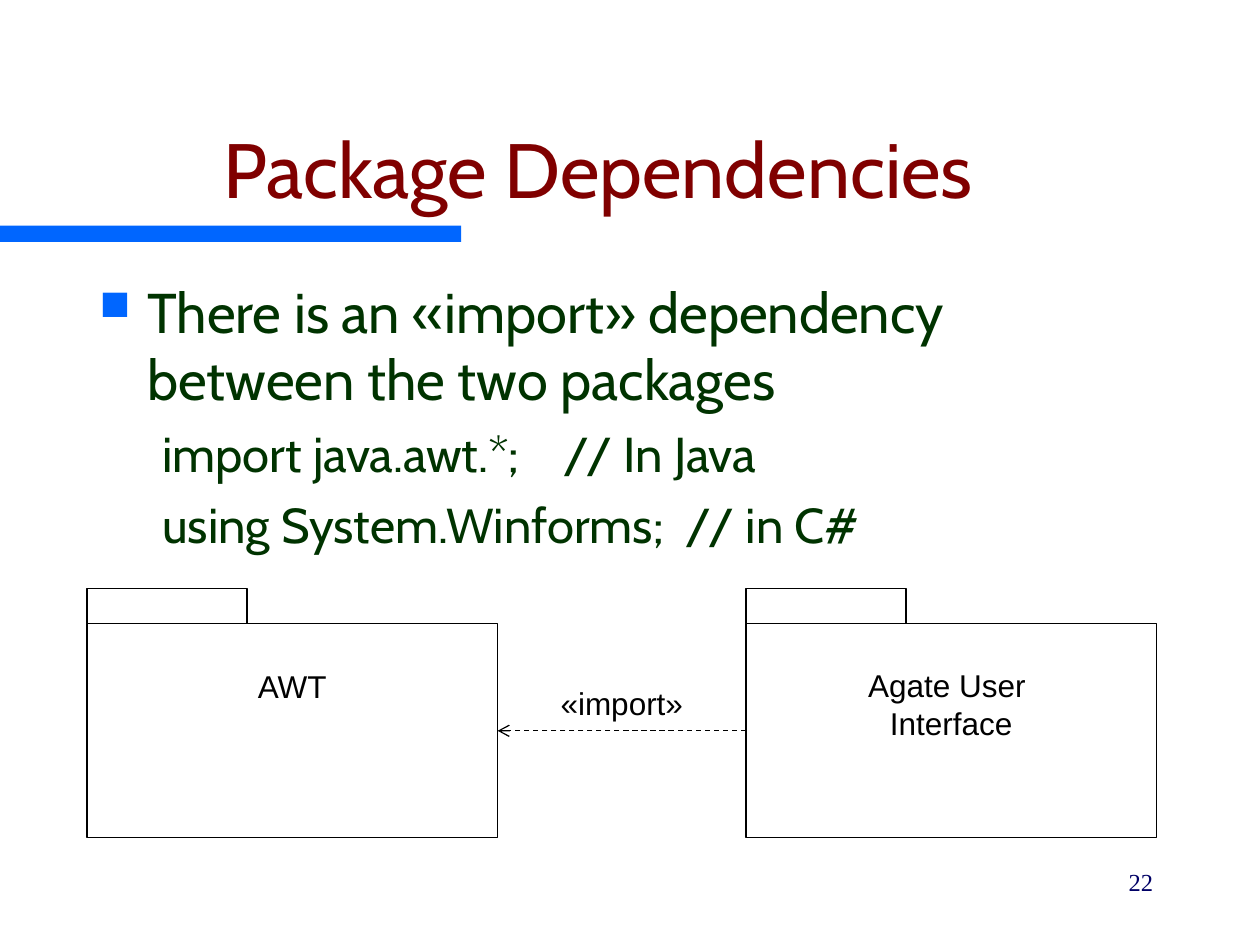
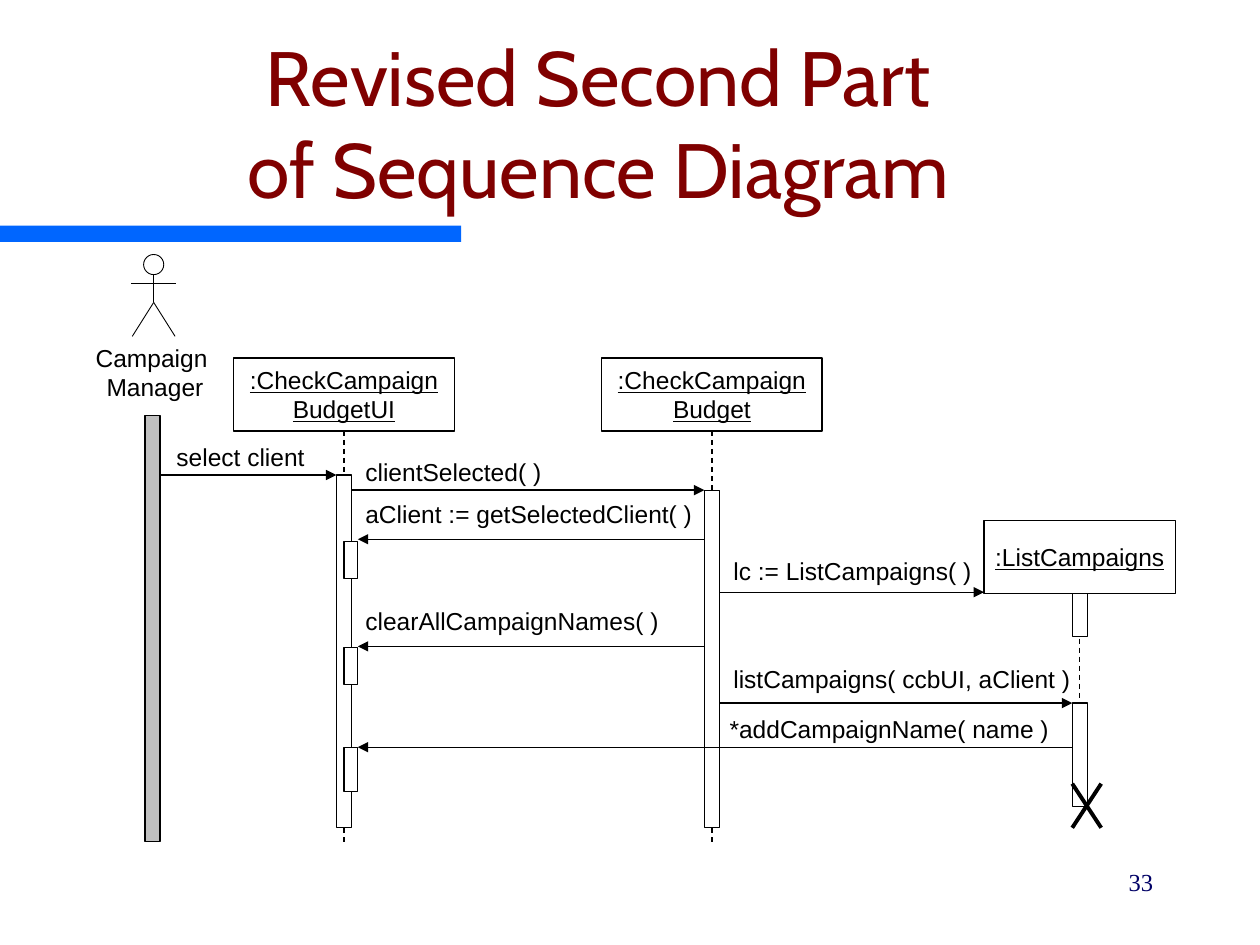
from dataclasses import dataclass

from lxml import etree
from pptx import Presentation
from pptx.dml.color import RGBColor
from pptx.enum import dml, shapes, text
from pptx.oxml import ns
from pptx.util import Inches, Pt

LEFT, MID, RIGHT = text.PP_ALIGN.LEFT, text.PP_ALIGN.CENTER, text.PP_ALIGN.RIGHT
RECT, OVAL = shapes.MSO_SHAPE.RECTANGLE, shapes.MSO_SHAPE.OVAL


@dataclass(frozen=True)
class Font:
    face: str
    size: int
    color: str
    under: bool = False


@dataclass(frozen=True)
class Theme:
    blue: str = "0066FF"
    ink: str = "000000"
    paper: str = "FFFFFF"
    gray: str = "C0C0C0"
    thin: float = 0.5
    rule: float = 0.75
    bold: float = 2.25
    title: Font = Font("Cabin", 44, "800000")
    body: Font = Font("Cabin", 32, "003300")
    code: Font = Font("Cabin", 28, "003300")
    pack: Font = Font("Arial", 18, "000000")
    label: Font = Font("Arial", 14, "000000")
    head: Font = Font("Arial", 14, "000000", True)
    page: Font = Font("Times New Roman", 14, "000066")


THEME = Theme()


def rgb(color):
    return RGBColor.from_string(color)


def sub(parent, tag, **attrs):
    return etree.SubElement(parent, ns.qn(tag), attrs)


def write(para, words, font, align=LEFT):
    """Add the words run by run, with a line break at each newline."""
    para.alignment = align
    for i, line in enumerate(words.split("\n")):
        if i:
            para.add_line_break()
        run = para.add_run()
        run.text = line
        run.font.name, run.font.size = font.face, Pt(font.size)
        run.font.color.rgb = rgb(font.color)
        if font.under:
            run.font.underline = True


def setup(frame, anchor=text.MSO_ANCHOR.TOP, wrap=True, pad=True):
    frame.word_wrap = wrap
    frame.auto_size = text.MSO_AUTO_SIZE.NONE
    frame.vertical_anchor = anchor
    frame.margin_left = frame.margin_right = Inches(0.1 if pad else 0)
    frame.margin_top = frame.margin_bottom = Inches(0.05 if pad else 0)
    return frame.paragraphs[0]


class Pane:
    """Draws shapes at places relative to the corner (x, y)."""

    def __init__(self, group, x=0, y=0):
        self.group, self.x, self.y = group, x, y

    def at(self, x, y):
        return Inches(self.x + x), Inches(self.y + y)

    def box(self, x, y, w, h, fill=THEME.paper, line=THEME.rule, kind=RECT):
        shape = self.group.add_shape(kind, *self.at(x, y), Inches(w), Inches(h))
        shape.shadow.inherit = False
        shape.fill.solid()
        shape.fill.fore_color.rgb = rgb(fill)
        if line:
            shape.line.color.rgb = rgb(THEME.ink)
            shape.line.width = Pt(line)
        else:
            shape.line.fill.background()
        return shape

    def line(self, start, end, width=THEME.rule, dash=False, tip=None):
        link = self.group.add_connector(
            shapes.MSO_CONNECTOR.STRAIGHT, *self.at(*start), *self.at(*end))
        link.line.color.rgb = rgb(THEME.ink)
        link.line.width = Pt(width)
        if dash:
            link.line.dash_style = dml.MSO_LINE.DASH
        props = link._element.spPr
        if tip:
            sub(props.find(ns.qn("a:ln")), "a:tailEnd", type=tip)
        sub(props, "a:effectLst")

    def words(self, x, y, w, h, words, font, align=LEFT, **frame):
        box = self.group.add_textbox(*self.at(x, y), Inches(w), Inches(h))
        write(setup(box.text_frame, **frame), words, font, align)
        return box


def start(deck, title, page):
    """Add a slide with the band, title and page number."""
    slide = deck.slides.add_slide(deck.slide_layouts[5])
    pane = Pane(slide.shapes)
    pane.box(0, 1.79, 3.66, 0.13, THEME.blue, None)
    head = slide.shapes.title
    head.left, head.top, head.width, head.height = map(Inches, (0.25, 0.5, 9, 1.25))
    write(setup(head.text_frame, text.MSO_ANCHOR.BOTTOM), title, THEME.title, MID)
    foot = pane.words(7.17, 6.83, 2.08, 0.5, page, THEME.page, RIGHT)
    foot.text_frame.paragraphs[0].space_before = Pt(8.8)
    return slide


def indent(para, left, first, gap, bullet=None):
    props = para._p.get_or_add_pPr()
    props.set("marL", str(Inches(left)))
    props.set("indent", str(Inches(first)))
    para.space_before = Pt(gap)
    if bullet:
        sub(sub(props, "a:buClr"), "a:srgbClr", val=THEME.blue)
        sub(props, "a:buSzPct", val="75000")
        sub(props, "a:buChar", char=bullet)
    else:
        sub(props, "a:buNone")


def body(slide, x, y, w, h, point, code):
    box = Pane(slide.shapes, x, y).words(0, 0, w, h, point, THEME.body)
    frame = box.text_frame
    indent(frame.paragraphs[0], 0.38, -0.38, 8, "■")
    for line in code:
        para = frame.add_paragraph()
        para.level = 1
        write(para, line, THEME.code)
        indent(para, 0.81, -0.31, 7)


def package(group, x, y, w, h, name, tall):
    pane, tab = Pane(group, x, y), 0.28
    pane.box(0, tab, w, h - tab)
    pane.box(0, 0, 1.27, tab)
    pane.words((w - 1.56) / 2, 0.56, 1.56, tall, name, THEME.pack, MID,
               anchor=text.MSO_ANCHOR.MIDDLE, wrap=False)


def packages(slide, x, y, w, h):
    group = slide.shapes.add_group_shape().shapes
    pane, wide = Pane(group, x, y), 3.26
    package(group, x, y, wide, h, "AWT", 0.42)
    package(group, x + w - wide, y, wide, h, "Agate User \nInterface", 0.71)
    pane.line((w - wide, 1.13), (wide, 1.13), dash=True, tip="arrow")
    pane.words((w - 1.56) / 2, 0.7, 1.56, 0.42, "«import»", THEME.pack, MID,
               anchor=text.MSO_ANCHOR.MIDDLE, wrap=False)


def actor(group, x, y, name):
    pane, mid, hip = Pane(group, x, y), 0.53, 0.38
    limbs = [((mid, hip), (mid, 0.16)), ((mid - 0.18, 0.23), (mid + 0.18, 0.23)),
             ((mid - 0.17, 0.65), (mid, hip)), ((mid, hip), (mid + 0.17, 0.65))]
    for limb in limbs:
        pane.line(*limb, width=THEME.thin)
    pane.box(mid - 0.08, 0, 0.16, 0.16, line=THEME.thin, kind=OVAL)
    pane.words(0, 0.7, 1.08, 0.54, name, THEME.label, MID, pad=False)


def lifeline(pane, mid, top, end, name, wide, bars):
    """Draw an object's head, dashed line and activation bars (top, height)."""
    tall = 0.58
    pane.line((mid, top + tall), (mid, end), dash=True)
    for y, h in bars:
        pane.box(mid - 0.06, y, 0.12, h)
    head = pane.box(mid - wide / 2, top, wide, tall)
    write(setup(head.text_frame, text.MSO_ANCHOR.MIDDLE, False), name, THEME.head, MID)


def sequence(slide, x, y):
    group = slide.shapes.add_group_shape().shapes
    pane = Pane(group, x, y)
    user, ui, budget, camps, half, inner = 0.52, 2.04, 4.96, 7.88, 0.06, 0.11
    actor(group, x, y, "Campaign \nManager")
    pane.box(user - half, 1.28, 2 * half, 3.38, THEME.gray)
    lifeline(pane, ui, 0.82, 4.67, ":CheckCampaign\nBudgetUI", 1.75, [(1.75, 2.8)])
    lifeline(pane, budget, 0.82, 4.67, ":CheckCampaign\nBudget", 1.75, [(1.87, 2.68)])
    lifeline(pane, camps, 2.11, 4.08, ":ListCampaigns", 1.52,
             [(2.68, 0.35), (3.56, 0.82)])
    for top, tall in [(2.28, 0.29), (3.12, 0.29), (3.91, 0.35)]:
        pane.box(ui, top, inner, tall)
    calls = [  # height, start, end, label left, label width, label rise, label
        (1.75, user + half, ui - half, 0.71, 1.02, 0.26, "select client"),
        (1.87, ui + half, budget - half, 2.21, 1.4, 0.26, "clientSelected( )"),
        (2.26, budget - half, ui + inner, 2.21, 2.6, 0.32,
         "aClient := getSelectedClient( )"),
        (2.68, budget + half, camps - 0.76, 5.13, 1.89, 0.29, "lc := ListCampaigns( )"),
        (3.11, budget - half, ui + inner, 2.21, 2.33, 0.32, "clearAllCampaignNames( )"),
        (3.56, budget + half, camps - half, 5.13, 2.68, 0.31,
         "listCampaigns( ccbUI, aClient )"),
        (3.91, camps - half, ui + inner, 5.1, 2.54, 0.26, "*addCampaignName( name )"),
    ]
    for line, tail, tip, left, wide, rise, label in calls:
        pane.line((tail, line), (tip, line), tip="triangle")
        pane.words(left, line - rise, wide, 0.23, label, THEME.label,
                   wrap=False, pad=False)
    for top, end in [(4.2, 4.55), (4.55, 4.2)]:
        pane.line((camps - half, top), (camps + 0.17, end), THEME.bold)


def main():
    deck = Presentation()
    deck.slide_width, deck.slide_height = Inches(10), Inches(7.5)

    slide = start(deck, "Package Dependencies", "22")
    body(slide, 0.69, 2.15, 8.5, 4.5,
         "There is an «import» dependency between the two packages",
         ["import java.awt.*;    // In Java", "using System.Winforms;  // in C#"])
    packages(slide, 0.69, 4.67, 8.49, 1.98)

    slide = start(deck, "Revised Second Part\nof Sequence Diagram", "33")
    sequence(slide, 0.69, 2.02)

    deck.save("out.pptx")


if __name__ == "__main__":
    main()
